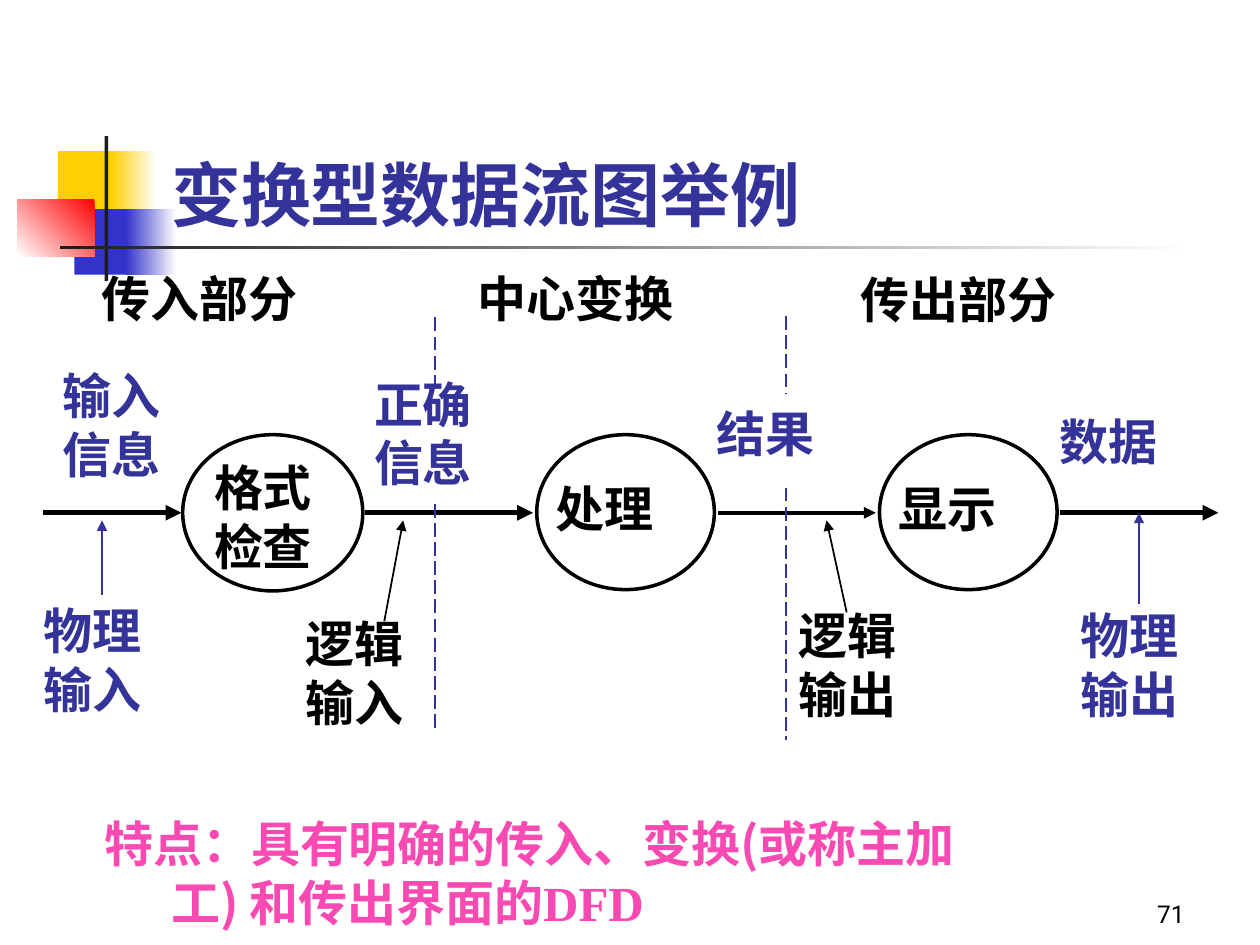
from typing import NamedTuple

from lxml.etree import SubElement
from pptx import Presentation
from pptx.dml.color import RGBColor
from pptx.enum.dml import MSO_LINE
from pptx.enum.shapes import MSO_CONNECTOR, MSO_SHAPE
from pptx.enum.text import MSO_ANCHOR, MSO_AUTO_SIZE, PP_ALIGN
from pptx.oxml.ns import qn
from pptx.util import Inches, Pt

# Grid: 100 columns by 75 rows
COLUMNS, ROWS = 100, 75
WIDTH, HEIGHT = Inches(10), Inches(7.5)
COLORS = {
    "white": "FFFFFF", "black": "000000", "ink": "1C1C1C", "navy": "333399",
    "yellow": "FFCF01", "blue": "3333CC", "red": "FF0000", "pink": "F949B2",
}
CHINESE, LATIN, NUMBER = "Noto Sans CJK SC", "Times New Roman", "Roboto"
FLOW_ROW = 40.7


class Block(NamedTuple):
    column: float
    row: float
    columns: float
    rows: float
    color: str
    fade_from: str = ""
    angle: int = 180


class Label(NamedTuple):
    text: str
    column: float
    row: float
    columns: float
    rows: float
    color: str = "black"
    wrap: bool = False
    size: int = 28
    font: str = CHINESE
    bold: bool = True
    bottom: bool = False


class Line(NamedTuple):
    start: tuple[float, float]
    end: tuple[float, float]
    color: str = "black"
    width: float = 1
    arrow: bool = True


BLOCKS = [
    Block(4.6, 12, 4.8, 5.2, "yellow"),
    Block(8.8, 12, 3.6, 5.2, "yellow", "white"),
    Block(5.9, 16.6, 4.6, 5.2, "blue"),
    Block(10, 16.6, 4, 5.2, "blue", "white"),
    Block(1.4, 15.8, 6.1, 4.6, "white", "red", 225),
    Block(8.3, 10.8, 0.3, 11.5, "ink"),
    Block(4.8, 19.5, 90, 0.3, "ink", "white"),
]
PROCESSES = [(14.5, 14.3, 12.4), (42.6, 14.1, 12.3), (69.8, 14.1, 12.3)]
FLOWS = [(3.4, 14.4, 3), (84.1, 96.7, 3), (57, 69.5, 2.25), (29, 42.3, 3)]
BOUNDARIES = [(34.5, 25.2, 30.6), (34.5, 40, 58), (62.4, 25.1, 31.2), (62.4, 38.7, 58.7)]
POINTERS = [
    Line((8.1, 47.2), (8.1, 41.3), "navy"),
    Line((90.4, 47.9), (90.4, 40.7), "navy"),
    Line((30.5, 49.3), (32, 41.3)),
    Line((67.2, 48.6), (65.6, 41.3)),
]
LABELS = [
    Label("变换型数据流图举例", 12.6, 6.7, 85.2, 12.5, "navy", True, 40, bottom=True),
    # Sections
    Label("传入部分", 7.1, 20.8, 17.5, 5.6),
    Label("中心变换", 36.9, 20.8, 17.5, 5.6),
    Label("传出部分", 67.3, 20.9, 17.5, 5.6),
    # Processes
    Label("格式\n检查", 16, 35.8, 9.8, 10.3),
    Label("处理", 43.1, 37.5, 14.5, 10.3, wrap=True),
    Label("显示", 70.3, 37.5, 14.5, 5.6, wrap=True),
    # Data on the flows
    Label("输入\n信息", 4, 28.5, 9.8, 10.3, "navy"),
    Label("正确\n信息", 28.7, 29.2, 9.8, 10.3, "navy"),
    Label("结果", 55.9, 31.5, 9.8, 5.6, "navy"),
    Label("数据", 83.1, 32.2, 9.8, 5.6, "navy"),
    # Kinds of input and output
    Label("物理\n输入", 2.5, 47.2, 12.8, 10.3, "navy", True),
    Label("逻辑\n输入", 23.3, 48.2, 12.8, 10.3, wrap=True),
    Label("逻辑\n输出", 62.4, 47.6, 12.8, 10.3, wrap=True),
    Label("物理\n输出", 84.8, 47.6, 14.4, 10.3, "navy", True),
]
SUMMARY = Label("特点：具有明确的传入、变换(或称主加\n工) 和传出界面的",
                7.3, 64.1, 87.9, 10.4, "pink", True)
PAGE_NUMBER = Label("71", 74.2, 69.2, 20.8, 5, wrap=True, size=14,
                    font=NUMBER, bold=False, bottom=True)


def across(columns: float) -> int:
    return round(WIDTH * columns / COLUMNS)


def down(rows: float) -> int:
    return round(HEIGHT * rows / ROWS)


def rgb(name: str) -> RGBColor:
    return RGBColor.from_string(COLORS[name])


def add_block(slide, block: Block, kind=MSO_SHAPE.RECTANGLE):
    shape = slide.shapes.add_shape(kind, across(block.column), down(block.row),
                                   across(block.columns), down(block.rows))
    shape.shadow.inherit = False
    shape.line.fill.background()
    if block.fade_from:
        shape.fill.gradient()
        shape.fill.gradient_angle = block.angle
        for stop, position, name in zip(shape.fill.gradient_stops, (0, 1),
                                        (block.fade_from, block.color)):
            stop.position = position
            stop.color.rgb = rgb(name)
    else:
        shape.fill.solid()
        shape.fill.fore_color.rgb = rgb(block.color)
    return shape


def add_line(slide, line: Line) -> None:
    connector = slide.shapes.add_connector(
        MSO_CONNECTOR.STRAIGHT, across(line.start[0]), down(line.start[1]),
        across(line.end[0]), down(line.end[1]))
    connector.line.color.rgb = rgb(line.color)
    connector.line.width = Pt(line.width)
    if line.arrow:
        SubElement(connector.line._get_or_add_ln(), qn("a:tailEnd"), type="triangle")
    else:
        connector.line.dash_style = MSO_LINE.LONG_DASH
    SubElement(connector._element.spPr, qn("a:effectLst"))


def format_run(run, label: Label, font: str) -> None:
    run.font.size = Pt(label.size)
    run.font.bold = label.bold
    run.font.color.rgb = rgb(label.color)
    run.font.name = font
    SubElement(run.font._element, qn("a:ea"), typeface=font)


def add_label(slide, label: Label):
    box = slide.shapes.add_textbox(across(label.column), down(label.row),
                                   across(label.columns), down(label.rows))
    text_frame = box.text_frame
    text_frame.text = label.text
    text_frame.word_wrap = label.wrap
    if label.bottom:
        text_frame.vertical_anchor = MSO_ANCHOR.BOTTOM
    else:
        text_frame.auto_size = MSO_AUTO_SIZE.SHAPE_TO_FIT_TEXT
    for paragraph in text_frame.paragraphs:
        for run in paragraph.runs:
            format_run(run, label, label.font)
    return text_frame


def main() -> None:
    presentation = Presentation()
    presentation.slide_width, presentation.slide_height = WIDTH, HEIGHT
    slide = presentation.slides.add_slide(presentation.slide_layouts[6])

    # Title ornament
    for block in BLOCKS:
        add_block(slide, block)

    # Processes and the flows between them
    for column, columns, rows in PROCESSES:
        ellipse = add_block(slide, Block(column, 34.5, columns, rows, "white"), MSO_SHAPE.OVAL)
        ellipse.line.color.rgb = rgb("black")
        ellipse.line.width = Pt(2)
    for start, end, width in FLOWS:
        add_line(slide, Line((start, FLOW_ROW), (end, FLOW_ROW), width=width))

    # Section boundaries and pointers
    for column, top, bottom in BOUNDARIES:
        add_line(slide, Line((column, top), (column, bottom), "navy", arrow=False))
    for pointer in POINTERS:
        add_line(slide, pointer)

    # Title and labels
    for label in LABELS:
        add_label(slide, label)

    # Summary with an indented second line
    last_line = add_label(slide, SUMMARY).paragraphs[-1]
    last_line._p.get_or_add_pPr().set("marL", str(across(5.3)))
    acronym = last_line.add_run()
    acronym.text = "DFD"
    format_run(acronym, SUMMARY, LATIN)

    # Page number
    add_label(slide, PAGE_NUMBER).paragraphs[0].alignment = PP_ALIGN.RIGHT
    presentation.save("out.pptx")


if __name__ == "__main__":
    main()
